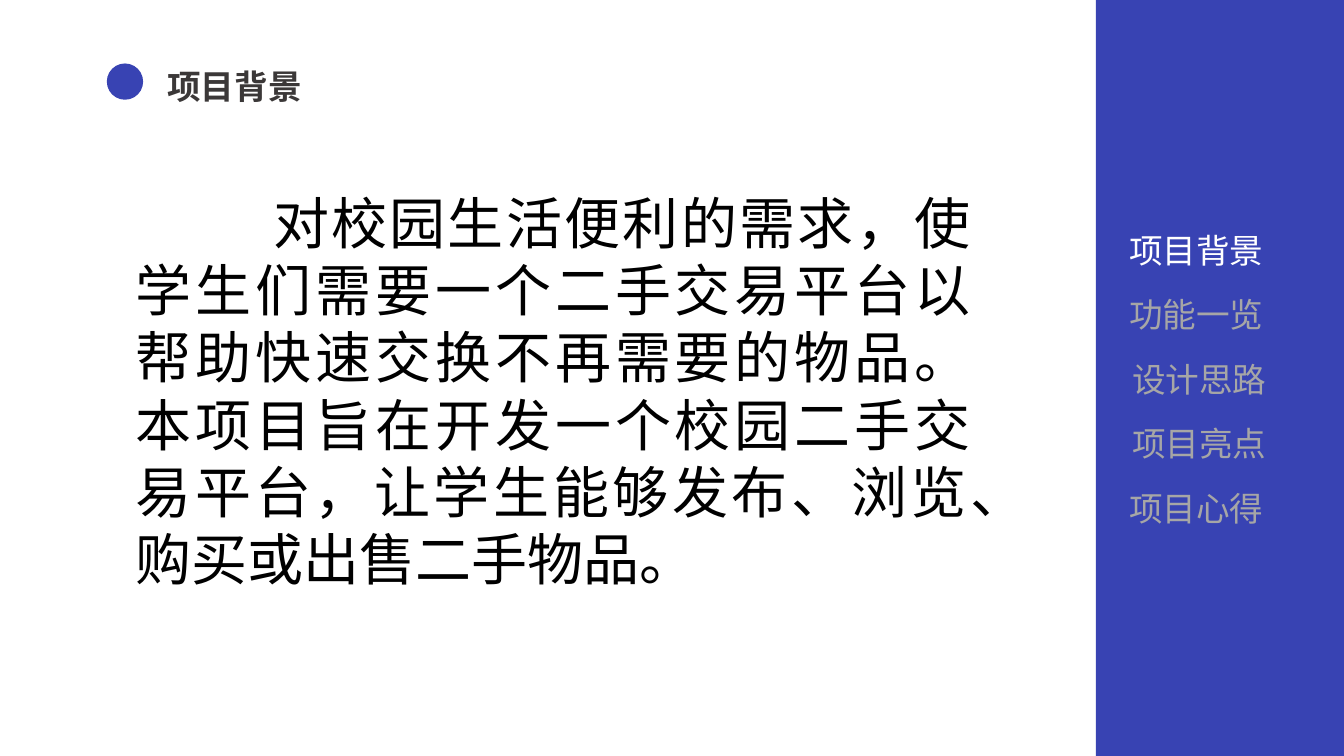
from pptx import Presentation
from pptx.dml.color import RGBColor
from pptx.enum.shapes import MSO_SHAPE as Shape
from pptx.enum.text import MSO_ANCHOR as Anchor, MSO_AUTO_SIZE as AutoSize, PP_ALIGN as Align
from pptx.oxml.ns import qn
from pptx.util import Inches, Pt

FONT = "Noto Sans CJK SC"
BLUE = RGBColor(0x38, 0x43, 0xB3)
DARK = RGBColor(0x3B, 0x38, 0x38)
WHITE = RGBColor(0xFF, 0xFF, 0xFF)
GRAY = RGBColor(0xA6, 0xA6, 0xA6)
BLACK = RGBColor(0, 0, 0)

SECTIONS = [  # label, left
    ("项目背景", 11.1),
    ("功能一览", 11.1),
    ("设计思路", 11.13),
    ("项目亮点", 11.13),
    ("项目心得", 11.1),
]
CURRENT = "项目背景"
BACKGROUND = (
    "对校园生活便利的需求，使学生们需要一个二手交易平台以帮助快速交换不再需要的物品。"
    "本项目旨在开发一个校园二手交易平台，让学生能够发布、浏览、购买或出售二手物品。"
)


def place(box, left, top, width, height):
    box.left, box.top = Inches(left), Inches(top)
    box.width, box.height = Inches(width), Inches(height)


def write(box, text, size=24, color=BLACK, bold=False, align=Align.LEFT,
          indent=0, after=0, inset=0.09):
    """Fill a box with one paragraph whose lines are 1.2 times the text size."""
    frame = box.text_frame
    frame.word_wrap = True
    frame.auto_size = AutoSize.NONE
    frame.vertical_anchor = Anchor.TOP
    frame.margin_left = frame.margin_right = Inches(0.1)
    frame.margin_top, frame.margin_bottom = Inches(inset), 0
    para = frame.paragraphs[0]
    para.alignment = align
    para.line_spacing = Pt(size * 1.2)
    para.space_before, para.space_after = Pt(0), Pt(after)
    if indent:
        props = para._p.get_or_add_pPr()
        props.set("marL", "0")
        props.set("indent", str(Inches(indent)))
    span = para.add_run()
    span.text = text
    span.font.name = FONT
    span.font.size = Pt(size)
    span.font.bold = bold
    span.font.color.rgb = color
    east_asian = span._r.get_or_add_rPr().makeelement(qn("a:ea"), {"typeface": FONT})
    span._r.rPr.find(qn("a:latin")).addnext(east_asian)


def add_text(page, text, left, top, width, height, **style):
    box = page.shapes.add_textbox(0, 0, 0, 0)
    place(box, left, top, width, height)
    write(box, text, **style)


def add_block(page, kind, left, top, width, height):
    block = page.shapes.add_shape(kind, 0, 0, 0, 0)
    place(block, left, top, width, height)
    block.shadow.inherit = False
    block.fill.solid()
    block.fill.fore_color.rgb = BLUE
    block.line.fill.background()


def main():
    deck = Presentation()
    deck.slide_width, deck.slide_height = Inches(13.33), Inches(7.5)
    page = deck.slides.add_slide(deck.slide_layouts[5])

    # Heading with its dot
    place(page.shapes.title, 1.56, 0.56, 2.91, 0.5)
    write(page.shapes.title, "项目背景", color=DARK, bold=True)
    add_block(page, Shape.OVAL, 1.06, 0.63, 0.36, 0.36)

    # Side navigation
    add_block(page, Shape.RECTANGLE, 10.87, 0, 2.46, 7.5)
    for index, (label, left) in enumerate(SECTIONS):
        add_text(page, label, left, 2.19 + 0.64 * index, 1.95, 0.5,
                 color=WHITE if label == CURRENT else GRAY)

    # Body text
    add_text(page, BACKGROUND, 1.25, 1.67, 8.48, 4.27, size=40,
             align=Align.JUSTIFY, indent=1.36, after=8, inset=0.2)

    deck.save("out.pptx")


if __name__ == "__main__":
    main()
